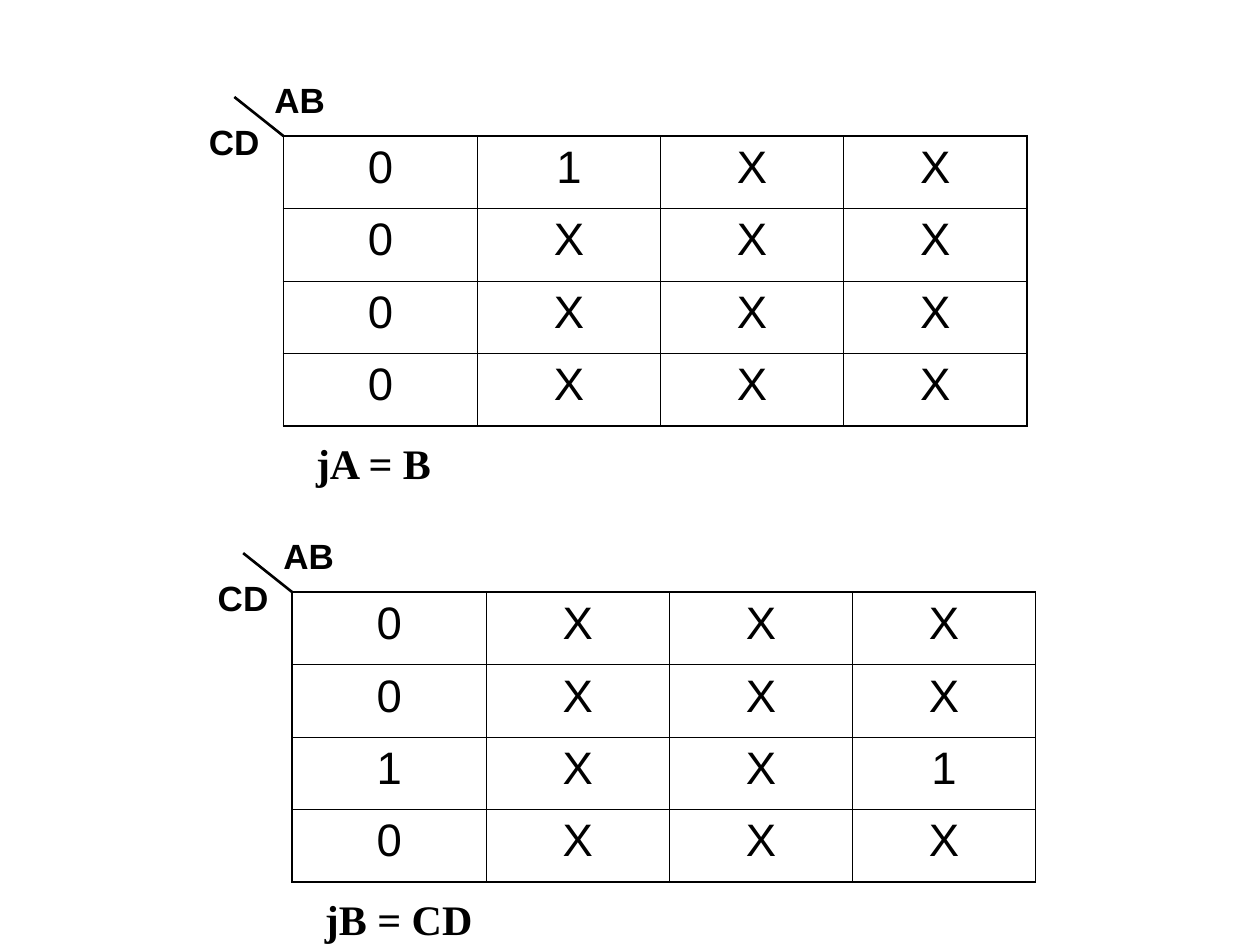
from dataclasses import dataclass

from pptx import Presentation
from pptx.dml.color import RGBColor
from pptx.enum.shapes import MSO_CONNECTOR as Link
from pptx.enum.text import MSO_AUTO_SIZE as Fit, PP_ALIGN as Align
from pptx.oxml.ns import qn
from pptx.util import Inches, Pt
from lxml.etree import SubElement


@dataclass(frozen=True)
class Theme:
    ink: str = "000000"
    sans: str = "Arial"
    serif: str = "Times New Roman"
    value: float = 26
    label: float = 20
    result: float = 24
    thin: float = 0.45
    thick: float = 1.08
    slash: float = 1.5


THEME = Theme()
INK = RGBColor.from_string(THEME.ink)

# Map size
WIDTH, HEIGHT, FIRST = 5.9, 2.3, 1.54

# Left, top, rows of values, result
MAPS = [
    (2.25, 1.08, ["01XX", "0XXX", "0XXX", "0XXX"], "jA = B"),
    (2.32, 4.7, ["0XXX", "0XXX", "1XX1", "0XXX"], "jB = CD"),
]


def set_font(para, name, size, bold=False):
    font = para.font
    font.name, font.size, font.bold = name, Pt(size), bold
    font.color.rgb = INK


def add_text(slide, left, top, width, height, text, name, size):
    box = slide.shapes.add_textbox(
        Inches(left), Inches(top), Inches(width), Inches(height))
    frame = box.text_frame
    frame.word_wrap = True
    frame.auto_size = Fit.SHAPE_TO_FIT_TEXT
    frame.text = text
    set_font(frame.paragraphs[0], name, size, bold=True)


def add_slash(slide, left, top):
    line = slide.shapes.add_connector(
        Link.STRAIGHT, Inches(left - 0.39), Inches(top - 0.31),
        Inches(left), Inches(top))
    line.line.color.rgb = INK
    line.line.width = Pt(THEME.slash)
    SubElement(line._element.spPr, qn("a:effectLst"))


def set_edges(cell, outer):
    props = cell._tc.get_or_add_tcPr()
    for side in "LRTB":
        width = THEME.thick if side in outer else THEME.thin
        edge = SubElement(props, qn(f"a:ln{side}"), w=str(Pt(width)))
        fill = SubElement(edge, qn("a:solidFill"))
        SubElement(fill, qn("a:srgbClr"), val=THEME.ink)


def add_grid(slide, left, top, rows):
    count, span = len(rows), len(rows[0])
    table = slide.shapes.add_table(
        count, span, Inches(left), Inches(top),
        Inches(WIDTH), Inches(HEIGHT)).table
    table.first_row = table.horz_banding = False
    for c, col in enumerate(table.columns):
        col.width = Inches((WIDTH - FIRST) / (span - 1) if c else FIRST)
    for r, row in enumerate(rows):
        table.rows[r].height = Inches(HEIGHT / count)
        for c, value in enumerate(row):
            cell = table.cell(r, c)
            cell.text = value
            para = cell.text_frame.paragraphs[0]
            para.alignment = Align.CENTER
            set_font(para, THEME.sans, THEME.value)
            # Heavier rule around the outside
            ends = {"L": c == 0, "R": c == span - 1,
                    "T": r == 0, "B": r == count - 1}
            set_edges(cell, [side for side, end in ends.items() if end])
            cell.fill.background()


def add_map(slide, left, top, rows, result):
    add_grid(slide, left, top, rows)
    add_slash(slide, left, top)
    add_text(slide, left + 0.16, top + 2.34, 1.65, 0.5,
             result, THEME.serif, THEME.result)
    # Axis labels on both sides of the slash
    for text, dx, dy in (("AB", -0.17, -0.51), ("CD", -0.69, -0.17)):
        add_text(slide, left + dx, top + dy, 0.63, 0.44,
                 text, THEME.sans, THEME.label)


def main():
    deck = Presentation()
    deck.slide_width, deck.slide_height = Inches(10), Inches(7.5)
    slide = deck.slides.add_slide(deck.slide_layouts[6])
    for item in MAPS:
        add_map(slide, *item)
    deck.save("out.pptx")


if __name__ == "__main__":
    main()
